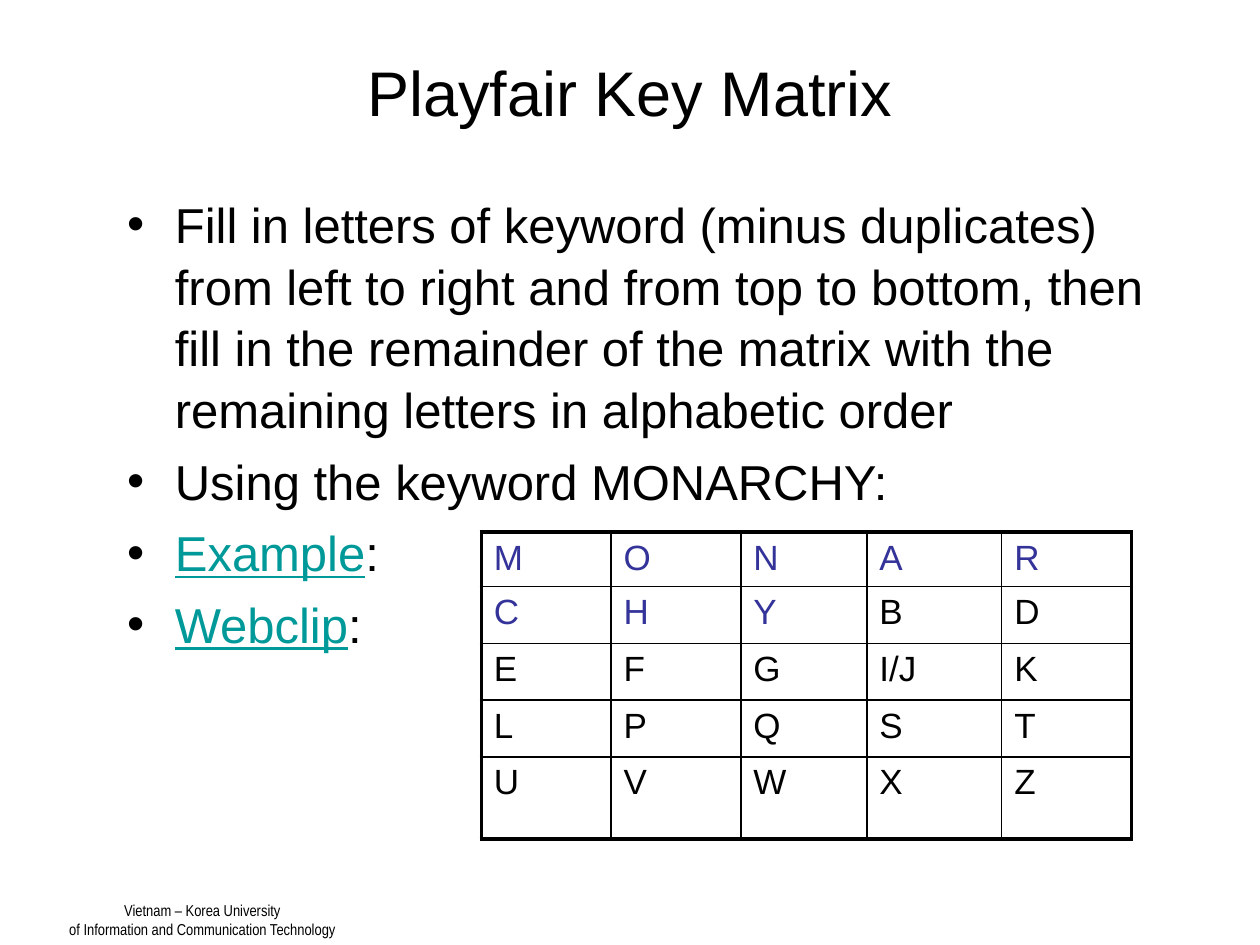
from lxml.etree import SubElement
from pptx import Presentation
from pptx.dml.color import RGBColor
from pptx.enum.text import MSO_ANCHOR as Anchor, PP_ALIGN as Align
from pptx.oxml.ns import qn
from pptx.util import Inches, Pt

COLORS = {"ink": "000000", "link": "009999", "keyword": "333399"}
KEYWORD = "MONARCHY"
MATRIX = [
    ["M", "O", "N", "A", "R"],
    ["C", "H", "Y", "B", "D"],
    ["E", "F", "G", "I/J", "K"],
    ["L", "P", "Q", "S", "T"],
    ["U", "V", "W", "X", "Z"],
]
COLUMN_SHARES = [0.103, 0.103, 0.1, 0.107, 0.103]
ROW_SHARES = [0.054, 0.06, 0.06, 0.06, 0.087]
POINTS = [
    [("Fill in letters of keyword (minus duplicates) from left to right "
      "and from top to bottom, then fill in the remainder of the matrix "
      "with the remaining letters in alphabetic order", "ink")],
    [("Using the keyword MONARCHY:", "ink")],
    [("Example", "link"), (":", "ink")],
    [("Webclip", "link"), (":", "ink")],
]
INSTITUTION = ["Vietnam – Korea University", "of Information and Communication Technology"]


class SlideBuilder:
    font = "Arial"
    narrow_font = "Arial Narrow"
    outer_line = Pt(2.25)
    inner_line = Pt(1)

    def __init__(self, deck):
        self.width, self.height = deck.slide_width, deck.slide_height
        self.slide = deck.slides.add_slide(deck.slide_layouts[5])

    def area(self, left, top, width, height):
        return (round(left * self.width), round(top * self.height),
                round(width * self.width), round(height * self.height))

    def run(self, paragraph, text, size, color="ink", font=None):
        run = paragraph.add_run()
        run.text = text
        run.font.size = Pt(size)
        run.font.name = font or self.font
        run.font.color.rgb = RGBColor.from_string(COLORS[color])
        if color == "link":
            run.font.underline = True

    def paragraphs(self, frame, count):
        return [frame.paragraphs[0]] + [frame.add_paragraph() for _ in range(count - 1)]

    def title(self, text, *shares):
        title = self.slide.shapes.title
        title.left, title.top, title.width, title.height = self.area(*shares)
        title.text_frame.vertical_anchor = Anchor.MIDDLE
        paragraph = title.text_frame.paragraphs[0]
        paragraph.alignment = Align.CENTER
        self.run(paragraph, text, 36)

    def bullet(self, paragraph):
        props = paragraph._p.get_or_add_pPr()
        props.set("marL", str(Inches(0.38)))
        props.set("indent", str(-Inches(0.38)))
        bullet_color = SubElement(props, qn("a:buClr"))
        SubElement(bullet_color, qn("a:srgbClr"), val=COLORS["ink"])
        SubElement(props, qn("a:buFont"), typeface=self.font)
        SubElement(props, qn("a:buChar"), char="•")

    def bullets(self, points, *shares):
        frame = self.slide.shapes.add_textbox(*self.area(*shares)).text_frame
        frame.word_wrap = True
        for index, paragraph in enumerate(self.paragraphs(frame, len(points))):
            self.bullet(paragraph)
            paragraph.line_spacing = 1.05
            if index:
                paragraph.space_before = Pt(5.6)
            for text, color in points[index]:
                self.run(paragraph, text, 28, color)

    def footer(self, lines, *shares):
        frame = self.slide.shapes.add_textbox(*self.area(*shares)).text_frame
        frame.word_wrap = False
        for paragraph, line in zip(self.paragraphs(frame, len(lines)), lines):
            paragraph.alignment = Align.CENTER
            self.run(paragraph, line, 9, font=self.narrow_font)

    def borders(self, cell, outer_sides):
        props = cell._tc.get_or_add_tcPr()
        for side in "LRTB":
            width = self.outer_line if side in outer_sides else self.inner_line
            line = SubElement(props, qn(f"a:ln{side}"), w=str(width))
            fill = SubElement(line, qn("a:solidFill"))
            SubElement(fill, qn("a:srgbClr"), val=COLORS["ink"])

    def matrix(self, letters, left, top, columns, rows):
        last_row, last_column = len(rows) - 1, len(columns) - 1
        place = self.area(left, top, sum(columns), sum(rows))
        table = self.slide.shapes.add_table(len(rows), len(columns), *place).table
        table.first_row = table.horz_banding = False
        for column, share in zip(table.columns, columns):
            column.width = round(share * self.width)
        for row, share in zip(table.rows, rows):
            row.height = round(share * self.height)
        for r, line in enumerate(letters):
            for c, letter in enumerate(line):
                cell = table.cell(r, c)
                edges = {"L": c == 0, "R": c == last_column, "T": r == 0, "B": r == last_row}
                self.borders(cell, [side for side, outer in edges.items() if outer])
                cell.fill.background()
                color = "keyword" if letter in KEYWORD else "ink"
                self.run(cell.text_frame.paragraphs[0], letter, 20, color)


def main():
    deck = Presentation()
    deck.slide_width, deck.slide_height = Inches(10), Inches(7.5)
    builder = SlideBuilder(deck)
    builder.footer(INSTITUTION, 0.043, 0.947, 0.235, 0.053)
    builder.title("Playfair Key Matrix", 0.05, 0.04, 0.9, 0.113)
    builder.bullets(POINTS, 0.091, 0.196, 0.828, 0.596)
    builder.matrix(MATRIX, 0.382, 0.563, COLUMN_SHARES, ROW_SHARES)
    deck.save("out.pptx")


if __name__ == "__main__":
    main()
